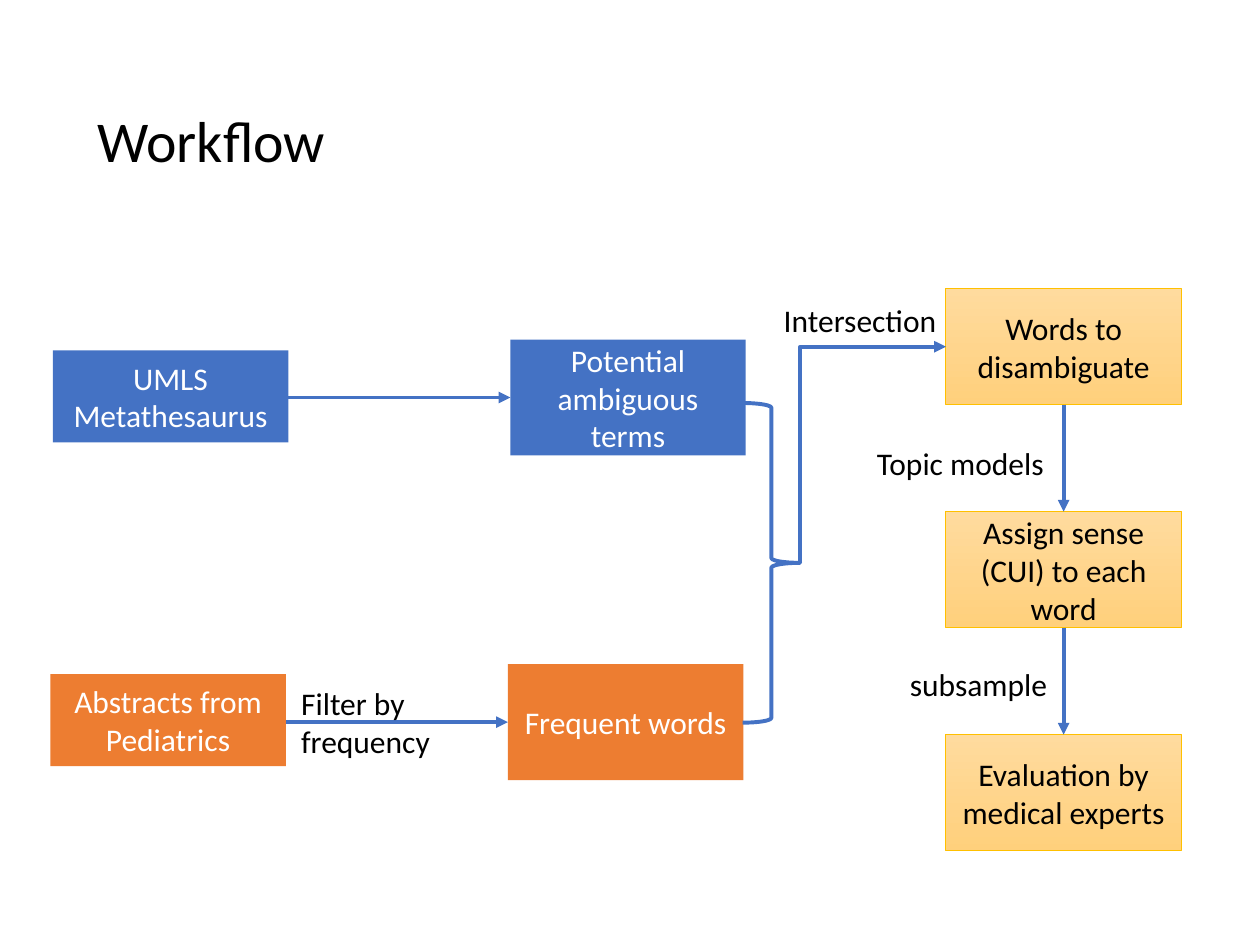
from pptx import Presentation
from pptx.dml.color import RGBColor
from pptx.enum.shapes import MSO_CONNECTOR, MSO_SHAPE
from pptx.enum.text import MSO_ANCHOR, MSO_AUTO_SIZE, PP_ALIGN
from pptx.oxml.ns import qn
from pptx.util import Pt
from lxml.etree import SubElement

THEME = {
    "font": "Calibri", "title": 33, "body": 18, "line": 2.25, "edge": 0.5,
    "blue": "4472C4", "orange": "ED7D31", "gold": "FFC000",
    "top": "FFDB9E", "base": "FFD07C", "white": "FFFFFF", "black": "000000",
}
TITLE = "Workflow"
WIDE, LOW, TALL = 134.6, 52.6, 66.3

# Each row: fill, then (text, left, top, height) for its source and its result
ROWS = [
    ("blue", ("UMLS Metathesaurus", 30.2, 200.2, LOW),
     ("Potential ambiguous terms", 291.6, 194, TALL)),
    ("orange", ("Abstracts from Pediatrics", 28.8, 385.2, LOW),
     ("Frequent words", 290.2, 379.5, TALL)),
]
STEPS = ["Words to disambiguate", "Assign sense (CUI) to each word",
         "Evaluation by medical experts"]
STEP_X, STEP_Y, STEP_GAP = 540.5, 165, 127.4
BRACE = (424.4, 230.3, 32.8, 182.7)

# Lines of text, left, top, width, height, wrap
LABELS = [
    (["Filter by", "frequency"], 165, 387.5, 182, 51, True),
    (["Topic models"], 494, 250, 112.5, 29, True),
    (["Intersection"], 440.8, 168.5, 103, 29, False),
    (["subsample"], 512.8, 376.7, 112.5, 29, True),
]


def color(name):
    return RGBColor.from_string(THEME[name])


def write(para, text, tint, size="body"):
    run = para.add_run()
    run.text = text
    run.font.name = THEME["font"]
    run.font.size = Pt(THEME[size])
    run.font.color.rgb = color(tint)


def box(slide, text, x, y, high, fill):
    shape = slide.shapes.add_shape(
        MSO_SHAPE.RECTANGLE, Pt(x), Pt(y), Pt(WIDE), Pt(high))
    shape.shadow.inherit = False
    if fill == "gold":
        shape.fill.gradient()
        shape.fill.gradient_angle = 270
        for stop, tint in zip(shape.fill.gradient_stops, ("top", "base")):
            stop.color.rgb = color(tint)
        shape.line.color.rgb = color(fill)
        shape.line.width = Pt(THEME["edge"])
    else:
        shape.fill.solid()
        shape.fill.fore_color.rgb = color(fill)
        shape.line.fill.background()
    frame = shape.text_frame
    frame.word_wrap = True
    frame.vertical_anchor = MSO_ANCHOR.MIDDLE
    para = frame.paragraphs[0]
    para.alignment = PP_ALIGN.CENTER
    write(para, text, "black" if fill == "gold" else "white")


def stroke(line):
    line.color.rgb = color("blue")
    line.width = Pt(THEME["line"])


def arrow(slide, start, end, kind=MSO_CONNECTOR.STRAIGHT):
    link = slide.shapes.add_connector(kind, *map(Pt, start + end))
    stroke(link.line)
    props = link._element.spPr
    SubElement(props.find(qn("a:ln")), qn("a:tailEnd"), type="triangle")
    SubElement(props, qn("a:effectLst"))
    return link


def elbow(slide, start, end):
    """Arrow that rises from start, then runs right to end."""
    run, rise = end[0] - start[0], start[1] - end[1]
    mid_x, mid_y = (start[0] + end[0]) / 2, (start[1] + end[1]) / 2
    # A quarter turn swaps width and height about the same centre
    link = arrow(slide, (mid_x + rise / 2, mid_y + run / 2),
                 (mid_x - rise / 2, mid_y - run / 2), MSO_CONNECTOR.ELBOW)
    props = link._element.spPr
    props.find(qn("a:xfrm")).set("rot", str(90 * 60000))
    props.find(qn("a:prstGeom")).set("prst", "bentConnector2")


def label(slide, lines, x, y, wide, high, wrap):
    frame = slide.shapes.add_textbox(
        Pt(x), Pt(y), Pt(wide), Pt(high)).text_frame
    frame.word_wrap = wrap
    frame.auto_size = MSO_AUTO_SIZE.SHAPE_TO_FIT_TEXT
    for i, text in enumerate(lines):
        para = frame.add_paragraph() if i else frame.paragraphs[0]
        write(para, text, "black")


def head(slide):
    title = slide.shapes.title
    title.left, title.top, title.width, title.height = map(
        Pt, (48.5, 30, 621, 104.4))
    frame = title.text_frame
    frame.word_wrap = True
    frame.auto_size = MSO_AUTO_SIZE.NONE
    frame.vertical_anchor = MSO_ANCHOR.MIDDLE
    para = frame.paragraphs[0]
    para.alignment = PP_ALIGN.LEFT
    para.line_spacing = 0.9
    write(para, TITLE, "black", "title")


def main():
    deck = Presentation()
    deck.slide_width, deck.slide_height = Pt(720), Pt(540)
    slide = deck.slides.add_slide(deck.slide_layouts[5])
    head(slide)

    for fill, source, result in ROWS:
        box(slide, *source, fill)
        box(slide, *result, fill)
        mid = result[2] + result[3] / 2
        arrow(slide, (source[1] + WIDE, mid), (result[1], mid))

    brace = slide.shapes.add_shape(MSO_SHAPE.RIGHT_BRACE, *map(Pt, BRACE))
    brace.shadow.inherit = False
    brace.fill.background()
    stroke(brace.line)

    for i, text in enumerate(STEPS):
        y = STEP_Y + i * STEP_GAP
        box(slide, text, STEP_X, y, TALL, "gold")
        if i:
            mid = STEP_X + WIDE / 2
            arrow(slide, (mid, y - STEP_GAP + TALL), (mid, y))

    x, y, wide, high = BRACE
    elbow(slide, (x + wide, y + high / 2), (STEP_X, STEP_Y + TALL / 2))
    for item in LABELS:
        label(slide, *item)
    deck.save("out.pptx")


if __name__ == "__main__":
    main()
